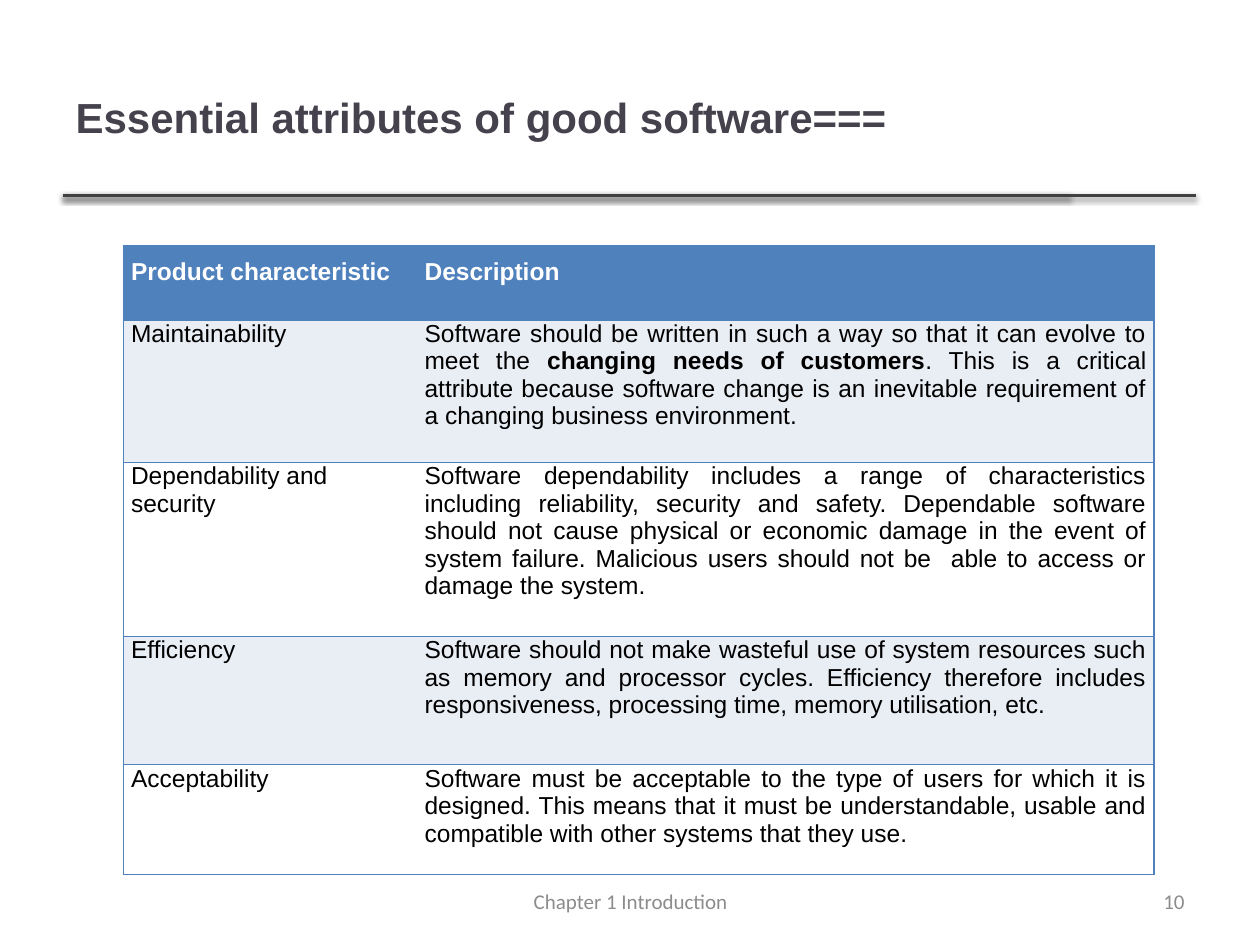
from lxml.etree import SubElement
from pptx import Presentation
from pptx.dml.color import RGBColor
from pptx.enum.shapes import MSO_CONNECTOR as CONNECTOR
from pptx.enum.text import MSO_ANCHOR as ANCHOR, PP_ALIGN as ALIGN
from pptx.oxml import parse_xml
from pptx.oxml.ns import nsdecls, qn
from pptx.util import Inches, Pt

BLUE, PALE, WHITE = "4F81BD", "E9EDF4", "FFFFFF"
BLACK, RULE, HEADING, FOOTER = "000000", "404040", "46424D", "8C8C8C"


def rgb(value):
    return RGBColor.from_string(value)


class SlideBuilder:
    """Holds the current slide and the style of its elements."""
    font = "Arial"
    footer_font = "Calibri"

    def __init__(self, slide):
        self.slide = slide

    def style(self, paragraph, size, color, bold=False, font=None, align=None):
        paragraph.alignment = align
        for run in paragraph.runs:
            run.font.name = font or self.font
            run.font.size = Pt(size)
            run.font.bold = bold
            run.font.color.rgb = rgb(color)

    def title(self, text, left, top, width, height):
        title = self.slide.shapes.title
        title.left, title.top = Inches(left), Inches(top)
        title.width, title.height = Inches(width), Inches(height)
        frame = title.text_frame
        frame.text = text
        frame.vertical_anchor = ANCHOR.MIDDLE
        self.style(frame.paragraphs[0], 24, HEADING, bold=True, align=ALIGN.LEFT)

    def rule(self, left, right, y):
        rule = self.slide.shapes.add_connector(
            CONNECTOR.STRAIGHT, Inches(left), Inches(y), Inches(right), Inches(y))
        rule.line.color.rgb = rgb(RULE)
        rule.line.width = Pt(2)
        # Soft shadow straight below the line
        rule._element.spPr.append(parse_xml(
            f'<a:effectLst {nsdecls("a")}><a:outerShdw blurRad="{Pt(3.1)}" '
            f'dist="{Pt(1.6)}" dir="5400000" rotWithShape="0">'
            f'<a:srgbClr val="{BLACK}"><a:alpha val="38000"/></a:srgbClr>'
            '</a:outerShdw></a:effectLst>'))

    def footer(self, text, left, width, align):
        box = self.slide.shapes.add_textbox(
            Inches(left), Inches(6.95), Inches(width), Inches(0.4))
        frame = box.text_frame
        frame.word_wrap = True
        frame.vertical_anchor = ANCHOR.MIDDLE
        frame.text = text
        self.style(frame.paragraphs[0], 12, FOOTER, font=self.footer_font, align=align)

    def borders(self, cell, visible):
        properties = cell._tc.get_or_add_tcPr()
        for index, side in enumerate("LRTB"):
            line = SubElement(properties, qn(f"a:ln{side}"), w=str(Pt(1)))
            if side in visible:
                fill = SubElement(line, qn("a:solidFill"))
                SubElement(fill, qn("a:srgbClr"), val=BLUE)
            else:
                SubElement(line, qn("a:noFill"))
            properties.insert(index, line)  # borders come before the fill

    def cell(self, cell, text, fill, color, header, align):
        cell.margin_left = cell.margin_right = Inches(0.06)
        cell.margin_top = Inches(0.1 if header else 0)
        cell.margin_bottom = Inches(0.1)
        cell.fill.solid()
        cell.fill.fore_color.rgb = rgb(fill)
        paragraph = cell.text_frame.paragraphs[0]
        # Every second piece between ** marks is bold
        pieces = text.split("**")
        for piece in pieces:
            paragraph.add_run().text = piece
        self.style(paragraph, 14, color, bold=header, align=align)
        for run in paragraph.runs[1::2]:
            run.font.bold = True

    def table(self, rows, left, top, widths, heights):
        table = self.slide.shapes.add_table(
            len(rows), len(widths), Inches(left), Inches(top),
            Inches(sum(widths)), Inches(sum(heights))).table
        table.horz_banding = False
        for column, width in zip(table.columns, widths):
            column.width = Inches(width)
        for r, (texts, height) in enumerate(zip(rows, heights)):
            table.rows[r].height = Inches(height)
            header = r == 0
            fill = BLUE if header else PALE if r % 2 else WHITE
            for c, text in enumerate(texts):
                cell = table.cell(r, c)
                align = ALIGN.LEFT if c == 0 else ALIGN.JUSTIFY
                self.cell(cell, text, fill, WHITE if header else BLACK, header, align)
                self.borders(cell, "LTB" if c == 0 else "RTB")


ATTRIBUTES = [
    ("Product characteristic", "Description"),
    ("Maintainability",
     "Software should be written in such a way so that it can evolve to meet the "
     "**changing needs of customers**. This is a critical attribute because software "
     "change is an inevitable requirement of a changing business environment."),
    ("Dependability and security",
     "Software dependability includes a range of characteristics including reliability, "
     "security and safety. Dependable software should not cause physical or economic "
     "damage in the event of system failure. Malicious users should not be  able to "
     "access or damage the system."),
    ("Efficiency",
     "Software should not make wasteful use of system resources such as memory and "
     "processor cycles. Efficiency therefore includes responsiveness, processing time, "
     "memory utilisation, etc."),
    ("Acceptability",
     "Software must be acceptable to the type of users for which it is designed. This "
     "means that it must be understandable, usable and compatible with other systems "
     "that they use."),
]


def main():
    deck = Presentation()
    deck.slide_width, deck.slide_height = Inches(10), Inches(7.5)
    title_only = deck.slide_layouts[5]
    builder = SlideBuilder(deck.slides.add_slide(title_only))

    # Heading with its double rule
    for right in (8.49, 9.49):
        builder.rule(0.5, right, 1.55)
    builder.title("Essential attributes of good software===", 0.5, 0.3, 7.98, 1.25)

    # Attribute table
    builder.table(ATTRIBUTES, 0.98, 1.95, widths=(2.33, 5.85),
                  heights=(0.59, 1.13, 1.38, 1.02, 0.87))

    # Footer and page number
    builder.footer("Chapter 1 Introduction", 3.42, 3.17, ALIGN.CENTER)
    builder.footer("10", 7.17, 2.33, ALIGN.RIGHT)

    deck.save("out.pptx")


if __name__ == "__main__":
    main()
